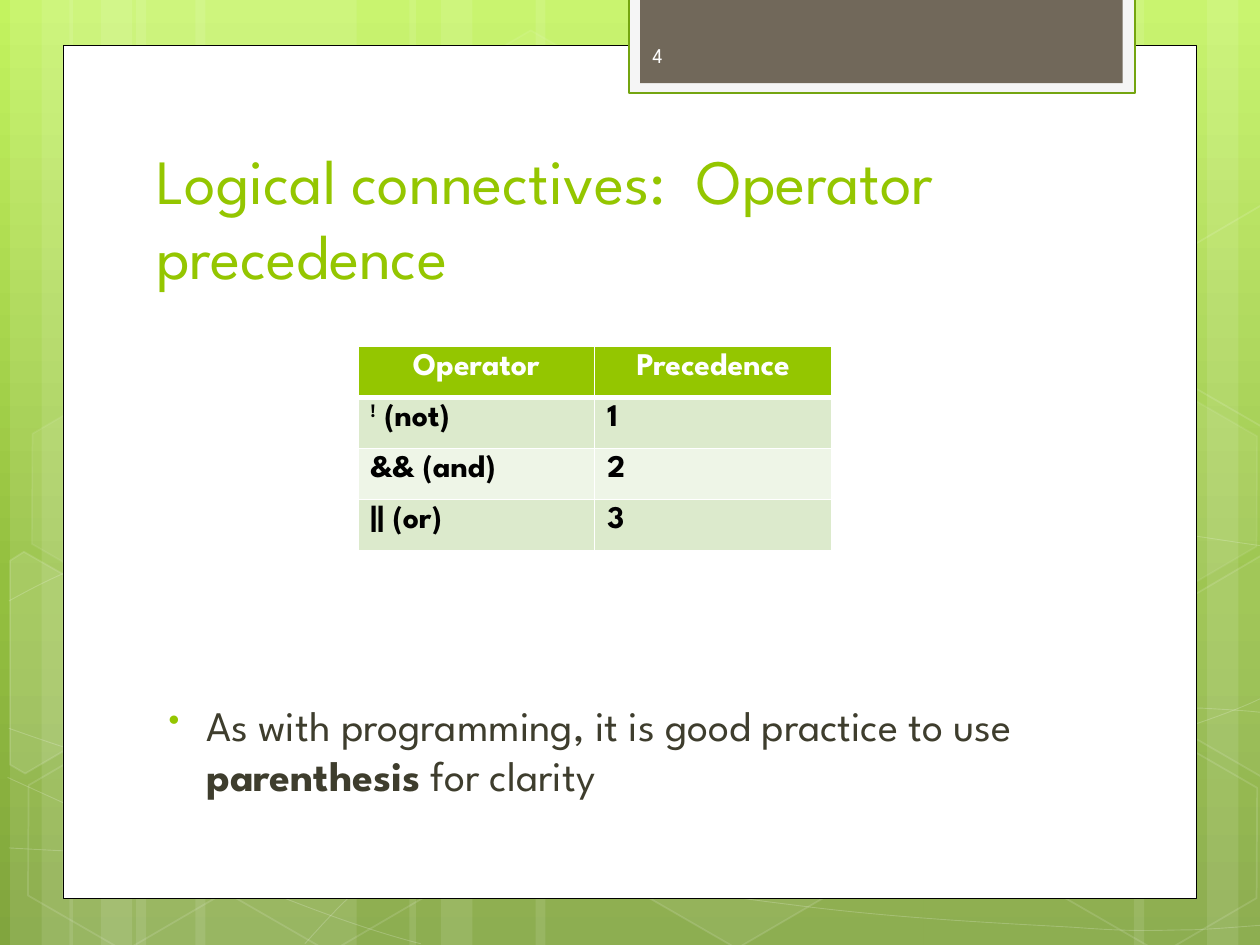
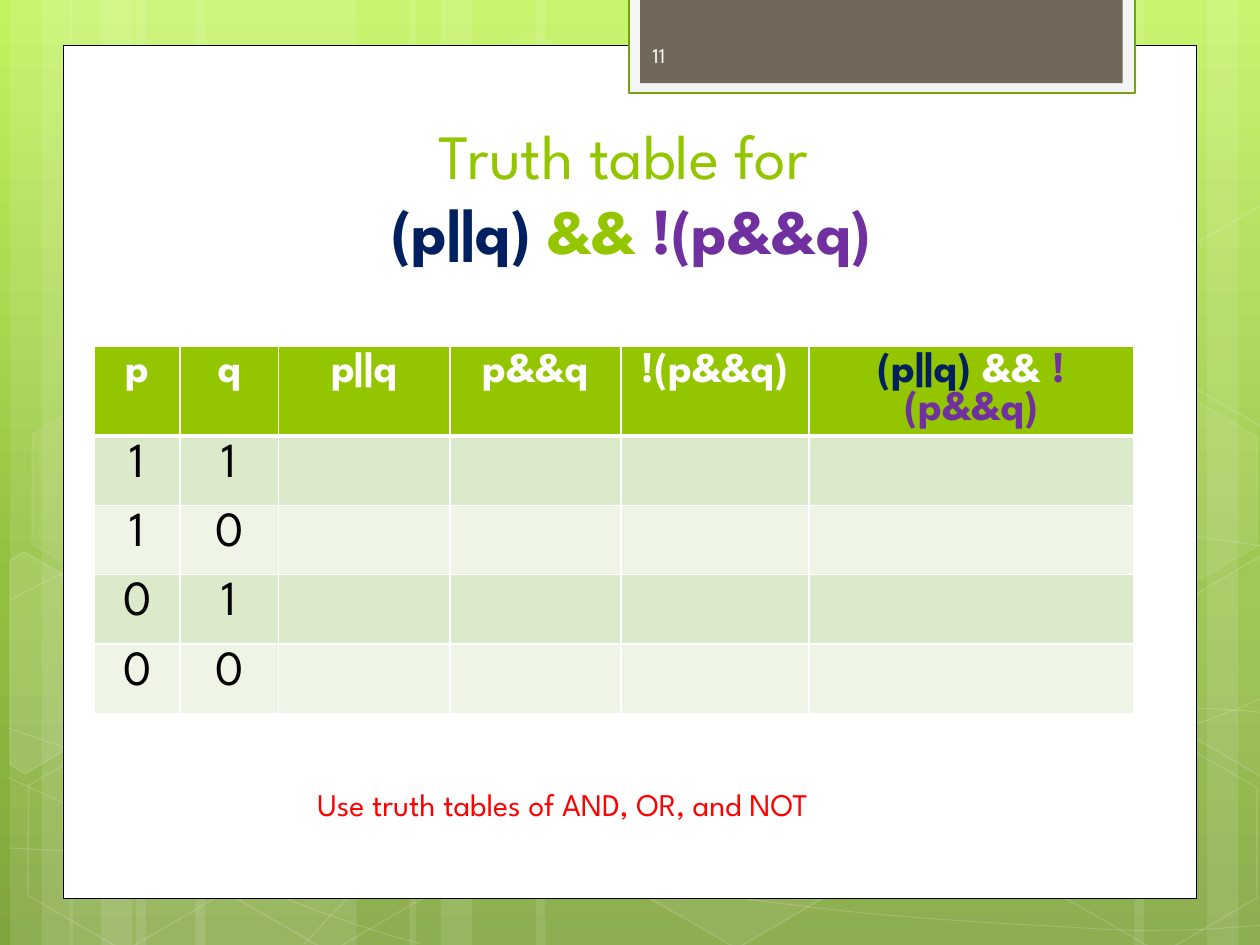
import copy

import lxml.etree
import pptx
import pptx.dml.color
import pptx.enum.shapes
import pptx.enum.text
import pptx.oxml.ns
import pptx.util

Inches = pptx.util.Inches
Pt = pptx.util.Pt
RGBColor = pptx.dml.color.RGBColor
MSO_SHAPE = pptx.enum.shapes.MSO_SHAPE
PP_ALIGN = pptx.enum.text.PP_ALIGN
MSO_ANCHOR = pptx.enum.text.MSO_ANCHOR
qn = pptx.oxml.ns.qn

FONT = "League Spartan"
WHITE = RGBColor(0xFF, 0xFF, 0xFF)
BLACK = RGBColor(0x00, 0x00, 0x00)
GREEN = RGBColor(0x94, 0xC6, 0x00)
DARK_GREEN = RGBColor(0x74, 0xA5, 0x10)
TAB_RIM = RGBColor(0xF5, 0xF5, 0xF5)
TAB_BROWN = RGBColor(0x71, 0x68, 0x5A)
NUMBER_WHITE = RGBColor(0xFE, 0xFE, 0xFE)
BODY_TEXT = RGBColor(0x3E, 0x3D, 0x2D)
NAVY = RGBColor(0x00, 0x20, 0x60)
PURPLE = RGBColor(0x70, 0x30, 0xA0)
RED = RGBColor(0xFF, 0x00, 0x00)
ROW_TINTS = (RGBColor(0xDC, 0xEA, 0xCC), RGBColor(0xEE, 0xF5, 0xE7))
SKY = (
    (0, RGBColor(0xC3, 0xF3, 0x5F)),
    (0.62, RGBColor(0x93, 0xBF, 0x3F)),
    (1, RGBColor(0x81, 0xA5, 0x3E)),
)

STRIPES = (
    (1.08, 1.75), (0.08, 0.5), (0.33, 0.83), (1.55, 1.75), (0.55, 0.5), (0.8, 0.83),
    (7.33, 1.75), (9.58, 0.5), (9, 0.83), (4.25, 3.08), (3.25, 0.5), (3.5, 0.83),
)
SWOOSHES = (
    ((0.07, 6.73), (0.61, 6.76, 1.15, 6.79, 1.9, 6.78), (2.65, 6.77, 3.58, 6.75, 4.58, 6.65),
     (5.58, 6.55, 7, 6.36, 7.92, 6.17), (8.83, 5.98, 9.77, 5.68, 10.07, 5.51)),
    ((0.07, 4.77), (0.36, 4.61, 0.65, 4.46, 1.21, 4.31), (1.78, 4.16, 2.59, 3.94, 3.47, 3.87),
     (4.36, 3.8, 5.44, 3.79, 6.54, 3.87), (7.64, 3.95, 9.47, 4.26, 10.07, 4.34)),
    ((0.06, 6.17), (1.27, 6.72, 2.47, 7.27, 3.34, 7.49)),
    ((0.07, 5.78), (0.38, 5.89, 0.7, 6, 1.28, 6.16), (1.86, 6.31, 2.73, 6.56, 3.57, 6.73),
     (4.4, 6.9, 5.45, 7.08, 6.28, 7.18), (7.11, 7.29, 8, 7.33, 8.53, 7.36),
     (9.05, 7.4, 9.19, 7.38, 9.45, 7.38), (9.71, 7.37, 9.89, 7.35, 10.07, 7.34)),
    ((2.42, 7.49), (2.6, 7.29, 2.78, 7.09, 3.02, 6.91), (3.26, 6.73, 3.6, 6.53, 3.88, 6.39),
     (4.16, 6.25, 4.33, 6.19, 4.7, 6.09), (5.06, 5.99, 5.73, 5.85, 6.08, 5.78),
     (6.44, 5.71, 6.49, 5.71, 6.8, 5.69), (7.11, 5.66, 7.6, 5.63, 7.94, 5.62),
     (8.29, 5.61, 8.86, 5.62, 8.86, 5.62), (9.53, 5.62),
     (9.71, 5.63, 9.88, 5.64, 9.97, 5.65), (10.06, 5.66, 10.03, 5.65, 10.06, 5.66)),
)
HEXAGONS = (
    (3.34, 0.36, 4, 8), (4.97, 5.89, 6, 12), (0.11, 5.91, 0, 12), (0.14, 3.12, 7, 8),
    (1.74, 5.92, 0, 12), (7.53, 4.53, 10, 12), (8.34, 5.93, 0, 12), (8.34, 3.14, 7, 8),
)
CUT_HEXAGONS = (
    (10, ((0.08, 4.45), (0.19, 4.38), (0.96, 4.82), (0.95, 5.7), (0.2, 6.14), (0.08, 6.07))),
    (4, ((9.26, 4.85), (10.01, 4.41), (10.09, 4.46), (10.09, 6.13), (10.02, 6.17), (9.26, 5.73))),
    (0, ((9.26, 2.07), (10.01, 1.63), (10.1, 1.68), (10.09, 3.35), (10.02, 3.39), (9.26, 2.95))),
)


def set_opacity(properties, percent):
    color = properties.find(qn("a:solidFill")).find(qn("a:srgbClr"))
    lxml.etree.SubElement(color, qn("a:alpha"), val=str(percent * 1000))


def paint(shape, fill=None, fill_opacity=100, line=None, line_width=1, line_opacity=100):
    shape.shadow.inherit = False
    properties = shape.element.spPr
    if fill is None:
        shape.fill.background()
    else:
        shape.fill.solid()
        shape.fill.fore_color.rgb = fill
        if fill_opacity < 100:
            set_opacity(properties, fill_opacity)
    if line is None:
        shape.line.fill.background()
    else:
        shape.line.color.rgb = line
        shape.line.width = Pt(line_width)
        if line_opacity < 100:
            set_opacity(properties.find(qn("a:ln")), line_opacity)


def add_panel(slide, box, **look):
    panel = slide.shapes.add_shape(MSO_SHAPE.RECTANGLE, *map(Inches, box))
    paint(panel, **look)


def add_outline(slide, points, close, **look):
    corners = [(Inches(x), Inches(y)) for x, y in points]
    builder = slide.shapes.build_freeform(*corners[0])
    builder.add_line_segments(corners[1:], close=close)
    outline = builder.convert_to_shape()
    paint(outline, **look)
    return outline


def add_swoosh(slide, start, segments):
    points = [start]
    for segment in segments:
        points += zip(segment[::2], segment[1::2])
    swoosh = add_outline(slide, points, False, line=WHITE, line_width=0.5, line_opacity=20)
    steps = iter(list(swoosh.element.iter(qn("a:lnTo"))))
    for segment in segments:
        first = next(steps)
        if len(segment) == 6:
            first.tag = qn("a:cubicBezTo")
            for control in (next(steps), next(steps)):
                first.append(control[0])
                control.getparent().remove(control)


def style_font(font, size=None, color=None, bold=None):
    if size:
        font.name = FONT
        font.size = Pt(size)
    if color is not None:
        font.color.rgb = color
    if bold is not None:
        font.bold = bold


def write(paragraph, content, size, color, bold=False, align=None):
    style_font(paragraph.font, size, color, bold)
    if align is not None:
        paragraph.alignment = align
    pieces = [(content,)] if isinstance(content, str) else content
    for text, *emphasis in pieces:
        if text == "\n":
            paragraph.add_line_break()
            continue
        run = paragraph.add_run()
        run.text = text
        if emphasis:
            style_font(run.font, None, *emphasis)


def add_text(slide, box, anchor=MSO_ANCHOR.TOP):
    frame = slide.shapes.add_textbox(*map(Inches, box)).text_frame
    frame.word_wrap = True
    frame.vertical_anchor = anchor
    return frame.paragraphs[0]


def add_title(slide, box, content, align=None):
    write(add_text(slide, box, MSO_ANCHOR.BOTTOM), content, 36, GREEN, align=align)


def add_background(slide):
    sky = slide.background.fill
    sky.gradient()
    stops = slide.element.find(".//" + qn("a:gsLst"))
    stops.append(copy.deepcopy(stops[-1]))
    for stop, (position, color) in zip(sky.gradient_stops, SKY):
        stop.position = position
        stop.color.rgb = color
    sky.gradient_angle = 270

    for left, width in STRIPES:
        add_panel(slide, (left, 0, width, 7.5), fill=WHITE, fill_opacity=10)
    for start, *segments in SWOOSHES:
        add_swoosh(slide, start, segments)
    for left, top, tint, edge in HEXAGONS:
        hexagon = slide.shapes.add_shape(
            MSO_SHAPE.HEXAGON, Inches(left), Inches(top), Inches(1.75), Inches(1.52))
        hexagon.adjustments[0] = 0.285
        hexagon.rotation = 30
        paint(hexagon, WHITE if tint else None, tint, WHITE, 1, edge)
    for tint, corners in CUT_HEXAGONS:
        add_outline(slide, corners, True, fill=WHITE if tint else None,
                    fill_opacity=tint, line=WHITE, line_opacity=12)


def add_number_tab(slide, box, number):
    left, top, width, height = box
    add_panel(slide, box, fill=TAB_RIM, line=DARK_GREEN, line_width=1.25)
    add_panel(slide, (left + 0.09, top, width - 0.19, height - 0.08), fill=TAB_BROWN)
    label = add_text(slide, (left + 0.09, top + 0.26, 1.46, 0.4), MSO_ANCHOR.MIDDLE)
    write(label, number, 12, NUMBER_WHITE)


def add_base_slide(deck, number):
    slide = deck.slides.add_slide(deck.slide_layouts[6])
    add_background(slide)
    add_panel(slide, (0.5, 0.36, 9, 6.77), fill=WHITE, line=BLACK, line_width=0.5)
    add_number_tab(slide, (4.99, -0.02, 4.02, 0.76), number)
    return slide


def add_borders(cell, is_header):
    properties = cell._tc.get_or_add_tcPr()
    for side in "LRTB":
        width = 3 if is_header and side == "B" else 1
        border = lxml.etree.SubElement(properties, qn("a:ln" + side), w=str(Pt(width)))
        fill = lxml.etree.SubElement(border, qn("a:solidFill"))
        lxml.etree.SubElement(fill, qn("a:srgbClr"), val=str(WHITE))


def add_grid(slide, origin, widths, heights, rows, header_size, body_size, body_bold, body_align):
    left, top = origin
    grid = slide.shapes.add_table(
        len(rows), len(widths), Inches(left), Inches(top),
        Inches(sum(widths)), Inches(sum(heights))).table
    for column, width in zip(grid.columns, widths):
        column.width = Inches(width)
    for index, (row, height) in enumerate(zip(rows, heights)):
        grid.rows[index].height = Inches(height)
        is_header = index == 0
        size = header_size if is_header else body_size
        for cell, content in zip(grid.rows[index].cells, row):
            add_borders(cell, is_header)
            cell.fill.solid()
            cell.fill.fore_color.rgb = GREEN if is_header else ROW_TINTS[(index - 1) % 2]
            if not content:
                continue
            paragraph = cell.text_frame.paragraphs[0]
            paragraph.line_spacing = Pt(round(size * 0.92))
            if is_header:
                write(paragraph, content, size, WHITE, True, PP_ALIGN.CENTER)
            else:
                write(paragraph, content, size, BLACK, body_bold, body_align)
    return grid


def add_bullet(slide, box, content):
    paragraph = add_text(slide, box)
    properties = paragraph._p.get_or_add_pPr()
    properties.set("marL", str(Inches(0.37)))
    properties.set("indent", str(Inches(-0.3)))
    color = lxml.etree.SubElement(properties, qn("a:buClr"))
    lxml.etree.SubElement(color, qn("a:srgbClr"), val=str(GREEN))
    lxml.etree.SubElement(properties, qn("a:buSzPct"), val="76000")
    lxml.etree.SubElement(properties, qn("a:buChar"), char="•")
    write(paragraph, content, 24, BODY_TEXT)


def build_precedence_slide(deck):
    slide = add_base_slide(deck, "4")
    add_title(slide, (1.14, 1.12, 7.68, 1.25), "Logical connectives:  Operator precedence")
    rows = (
        ("Operator", "Precedence"),
        ((("!",), (" (not)",)), "1"),
        ("&& (and)", "2"),
        ("|| (or)", "3"),
    )
    grid = add_grid(slide, (2.84, 2.75), (1.88,) * 2, (1.62 / 4,) * 4, rows, 18, 18, True, None)
    not_sign = grid.cell(1, 0).text_frame.paragraphs[0].runs[0]
    not_sign._r.get_or_add_rPr().set("baseline", "30000")
    add_bullet(slide, (1.17, 5.5, 8.03, 1.17), (
        ("As with programming, it is good practice to use ",),
        ("parenthesis", None, True),
        (" for clarity",),
    ))


def build_truth_table_slide(deck):
    slide = add_base_slide(deck, "11")
    add_title(slide, (1.17, 0.92, 7.68, 1.25), (
        ("Truth table for ",), ("\n",),
        ("(p||q) ", NAVY, True), ("&& ", GREEN, True), ("!(p&&q)", PURPLE, True),
    ), PP_ALIGN.CENTER)
    full_formula = (("(p||q) ", NAVY), ("&& ",), ("!(p&&q)", PURPLE))
    rows = [("p", "q", "p||q", "p&&q", "!(p&&q)", full_formula)]
    rows += [(p, q, "", "", "", "") for p in "10" for q in "10"]
    add_grid(slide, (0.75, 2.75), (0.68, 0.78, 1.36, 1.36, 1.49, 2.58),
             (0.71,) + (0.55,) * 4, rows, 24, 28, False, PP_ALIGN.CENTER)
    write(add_text(slide, (2.42, 6.18, 5.92, 0.4)),
          "Use truth tables of AND, OR, and NOT", 18, RED)


def main():
    deck = pptx.Presentation()
    deck.slide_width = Inches(10)
    deck.slide_height = Inches(7.5)
    build_precedence_slide(deck)
    build_truth_table_slide(deck)
    deck.save("out.pptx")


if __name__ == "__main__":
    main()
